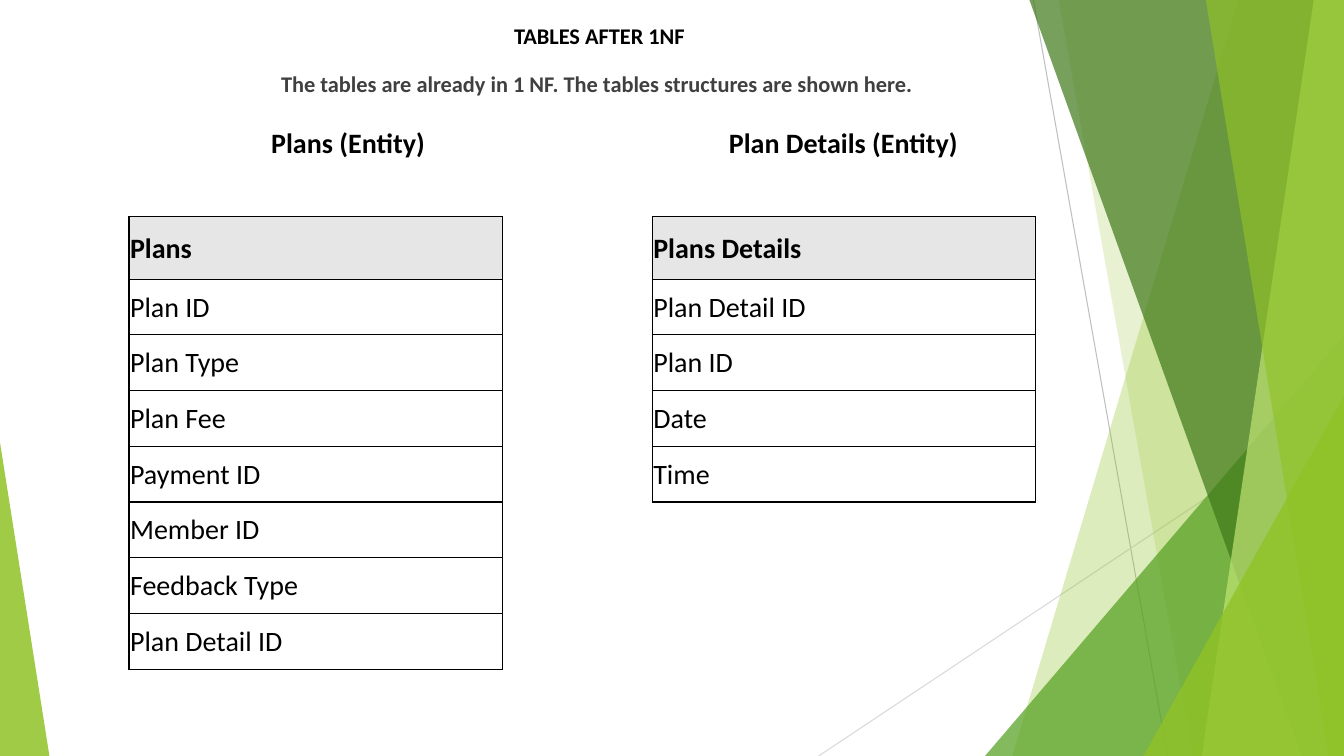
from lxml.etree import SubElement
from pptx import Presentation
from pptx.dml.color import RGBColor
from pptx.enum.shapes import MSO_CONNECTOR as Connector, MSO_SHAPE as Shape
from pptx.enum.text import MSO_ANCHOR as Anchor, PP_ALIGN as Align
from pptx.oxml.ns import qn
from pptx.util import Inches, Pt

COLORS = {
    "black": "000000", "body": "404040", "header": "E7E6E6",
    "line": "BFBFBF", "pale line": "D9D9D9",
    "lime": "90C226", "leaf": "54A021", "forest": "3F7819", "light lime": "C0E474",
}
WIDTH, HEIGHT = 13.33, 7.5
CELL_FORMAT = {
    "vertical_anchor": Anchor.MIDDLE, "margin_left": Inches(0.01),
    "margin_right": Inches(0.01), "margin_top": Inches(0.01), "margin_bottom": 0,
}
SIDES = {"lnL": (0, -1), "lnR": (0, 1), "lnT": (-1, 0), "lnB": (1, 0)}

PLANS = ["Plans", "Plan ID", "Plan Type", "Plan Fee", "Payment ID",
         "Member ID", "Feedback Type", "Plan Detail ID"]
PLAN_DETAILS = ["Plans Details", "Plan Detail ID", "Plan ID", "Date", "Time", "", "", ""]


def rgb(color):
    return RGBColor.from_string(COLORS[color])


def add_ray(slide, start, end, color):
    ray = slide.shapes.add_connector(Connector.STRAIGHT, *map(Inches, start + end))
    ray.line.color.rgb = rgb(color)
    ray.line.width = Pt(0.75)
    SubElement(ray._element.spPr, qn("a:effectLst"))


def paint(facet, color, opacity):
    facet.shadow.inherit = False
    facet.line.fill.background()
    facet.fill.solid()
    facet.fill.fore_color.rgb = rgb(color)
    tint = facet.fill._xPr.find(qn("a:solidFill"))[0]
    SubElement(tint, qn("a:alpha"), val=str(opacity * 1000))


def add_band(slide, top_x, bottom_x, color, opacity):
    """Fill the area between a slanted left edge and the right side of the slide."""
    outline = slide.shapes.build_freeform(Inches(top_x), 0)
    corners = [(WIDTH, 0), (WIDTH, HEIGHT), (bottom_x, HEIGHT)]
    outline.add_line_segments([(Inches(x), Inches(y)) for x, y in corners])
    paint(outline.convert_to_shape(), color, opacity)


def add_corner(slide, left, top, width, peak, color, opacity):
    """Add a triangle standing on the bottom edge of the slide."""
    corner = slide.shapes.add_shape(
        Shape.ISOSCELES_TRIANGLE, *map(Inches, (left, top, width, HEIGHT - top)))
    corner.adjustments[0] = peak
    paint(corner, color, opacity)


def write(paragraph, text, size, color="black", bold=False, align=Align.LEFT):
    paragraph.alignment = align
    run = paragraph.add_run()
    run.text = text
    font = {"name": "Calibri", "size": Pt(size), "bold": bold}
    for attribute, value in font.items():
        setattr(run.font, attribute, value)
    run.font.color.rgb = rgb(color)


def add_title(slide, text):
    title = slide.shapes.add_textbox(*map(Inches, (4.54, 0.15, 2.81, 0.56))).text_frame
    title.word_wrap = True
    paragraph = title.paragraphs[0]
    paragraph.line_spacing = 1.07
    paragraph.space_after = Pt(8)
    write(paragraph, text, 16, bold=True, align=Align.CENTER)


def set_border(cell, side, visible):
    border = SubElement(cell._tc.get_or_add_tcPr(), qn(f"a:{side}"), w=str(Pt(1)))
    if visible:
        fill = SubElement(border, qn("a:solidFill"))
        SubElement(fill, qn("a:srgbClr"), val=COLORS["black"])
    else:
        SubElement(border, qn("a:noFill"))


def add_grid(slide, left, top, widths, heights, texts, bordered):
    """Add a plain table; edges are ruled wherever a cell with text touches them."""
    table = slide.shapes.add_table(
        len(heights), len(widths),
        *map(Inches, (left, top, sum(widths), sum(heights)))).table
    table.first_row = table.horz_banding = False
    for column, width in zip(table.columns, widths):
        column.width = Inches(width)
    for row, height in zip(table.rows, heights):
        row.height = Inches(height)

    def has_text(r, c):
        return 0 <= r < len(heights) and 0 <= c < len(widths) and bool(texts[r][c])

    for r in range(len(heights)):
        for c in range(len(widths)):
            cell = table.cell(r, c)
            for attribute, value in CELL_FORMAT.items():
                setattr(cell, attribute, value)
            for side, (down, right) in SIDES.items():
                touched = has_text(r, c) or has_text(r + down, c + right)
                set_border(cell, side, bordered and touched)
            cell.fill.background()
            if not texts[r][c]:
                paragraph = cell.text_frame.paragraphs[0]
                paragraph._p.get_or_add_endParaRPr().set("sz", "1200")
    return table


def add_headings(slide):
    introduction = "The tables are already in 1 NF. The tables structures are shown here."
    names = "Plans (Entity)\tPlan Details (Entity)"
    headings = add_grid(slide, 1.56, 0.7, [8.72], [0.28, 0.27, 0.34],
                        [[introduction], [""], [names]], bordered=False)
    write(headings.cell(0, 0).text_frame.paragraphs[0], introduction, 16,
          "body", True, Align.CENTER)
    # A tab stop sets the second name above its entity
    names_cell = headings.cell(2, 0)
    names_cell.margin_left = Inches(1.13)
    paragraph = names_cell.text_frame.paragraphs[0]
    write(paragraph, names, 20, bold=True)
    stops = SubElement(paragraph._p.get_or_add_pPr(), qn("a:tabLst"))
    SubElement(stops, qn("a:tab"), pos=str(Inches(4.54)), algn="l")


def add_entities(slide):
    texts = [[plan, "", detail] for plan, detail in zip(PLANS, PLAN_DETAILS)]
    field_count = len(PLANS) - 1
    heights = [0.62] + [(4.49 - 0.62) / field_count] * field_count
    entities = add_grid(slide, 1.28, 2.15, [3.7, 1.49, 3.8], heights, texts, bordered=True)
    for r, row in enumerate(texts):
        for c, text in enumerate(row):
            if not text:
                continue
            cell = entities.cell(r, c)
            write(cell.text_frame.paragraphs[0], text, 20, bold=r == 0)
            if r == 0:
                cell.fill.solid()
                cell.fill.fore_color.rgb = rgb("header")


def add_backdrop(slide):
    add_ray(slide, (10.25, 0), (11.58, HEIGHT), "line")
    add_ray(slide, (WIDTH, 4.03), (8.12, HEIGHT), "pale line")
    add_band(slide, 12.28, 10.04, "lime", 30)
    add_band(slide, 10.5, 11.83, "lime", 20)
    add_corner(slide, 9.77, 3.33, 3.56, 1, "leaf", 72)
    add_band(slide, 10.21, 12.91, "forest", 70)
    add_band(slide, 13.03, 11.92, "light lime", 70)
    add_band(slide, 11.96, 13.18, "lime", 65)
    add_corner(slide, 11.34, 3.93, 1.99, 1, "lime", 80)
    add_corner(slide, 0, 4.39, 0.49, 0, "lime", 85)


def main():
    deck = Presentation()
    deck.slide_width, deck.slide_height = Inches(WIDTH), Inches(HEIGHT)
    slide = deck.slides.add_slide(deck.slide_layouts[6])
    # Green facets behind the content
    add_backdrop(slide)
    # Title, introduction and entity names
    add_title(slide, "TABLES AFTER 1NF")
    add_headings(slide)
    # Fields of both entities
    add_entities(slide)
    deck.save("out.pptx")


if __name__ == "__main__":
    main()
